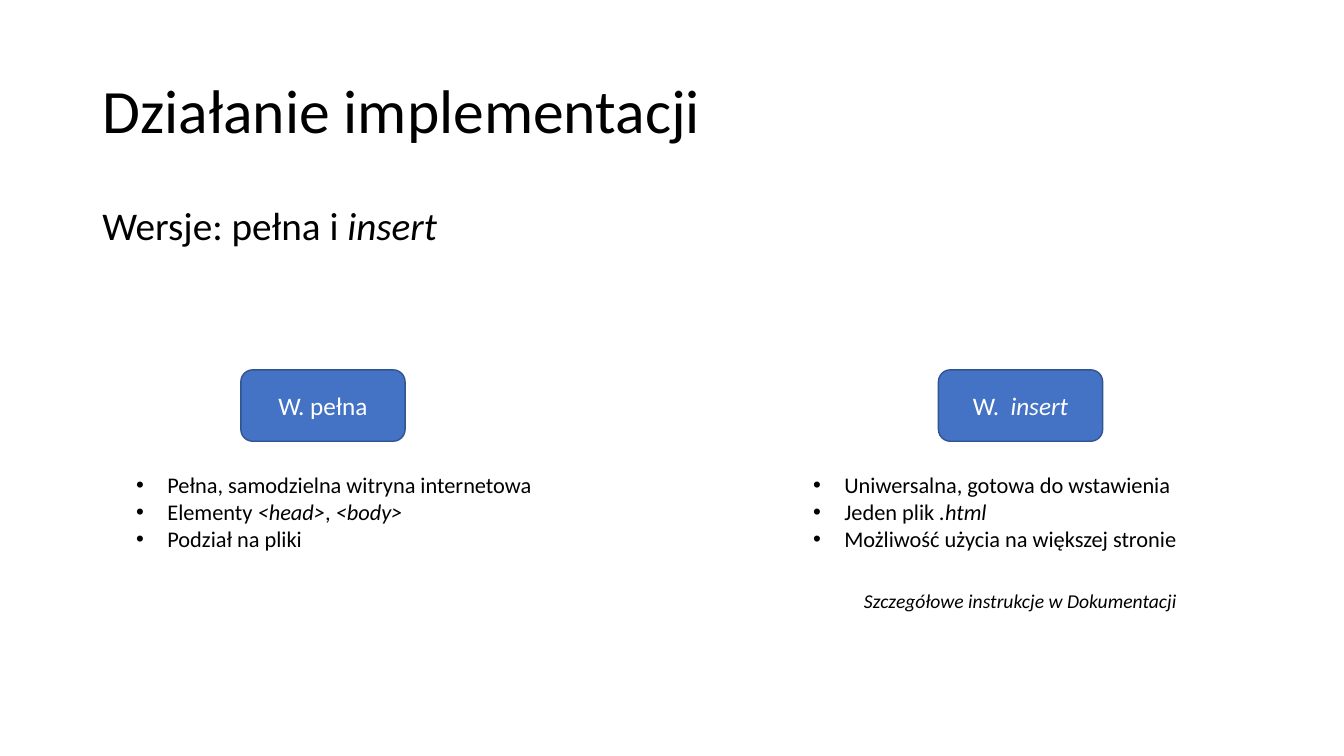
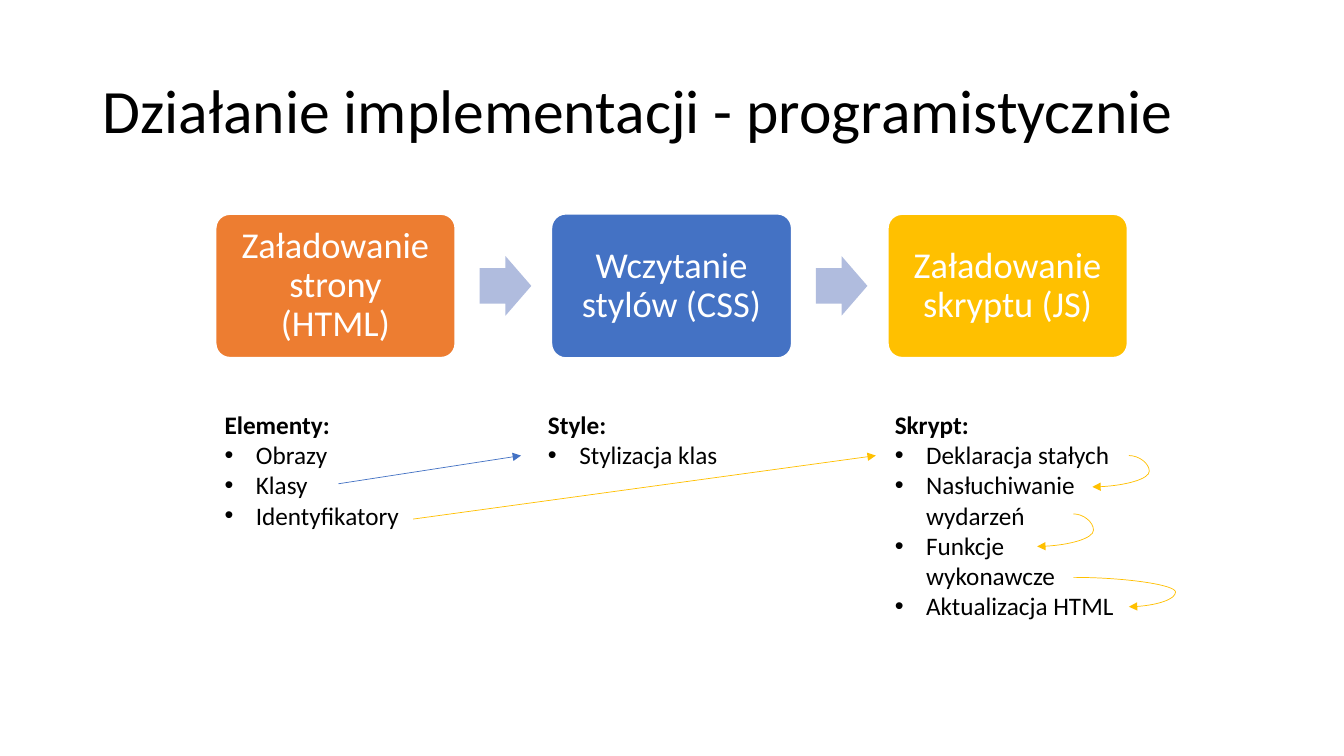
from lxml.etree import SubElement
from pptx import Presentation
from pptx.dml.color import RGBColor
from pptx.enum.shapes import MSO_CONNECTOR as Link, MSO_SHAPE as Preset
from pptx.enum.text import MSO_ANCHOR as Anchor, PP_ALIGN as Align
from pptx.oxml.ns import qn
from pptx.util import Cm, Pt

FONT = "Calibri"
COLORS = {
    "text": "000000", "white": "FFFFFF", "blue": "4472C4", "edge": "325491",
    "orange": "ED7D31", "gold": "FFC000", "arrow": "B0BCDE",
}

# Asterisks enclose italic words.
VERSIONS_TITLE = "Działanie implementacji"
VERSIONS_LEAD = "Wersje: pełna i *insert*"
VERSIONS = [
    {"name": "W. pełna", "button_left": 6.07, "list_left": 3.18, "features": [
        "Pełna, samodzielna witryna internetowa",
        "Elementy *<head>*, *<body>*",
        "Podział na pliki"]},
    {"name": "W.  *insert*", "button_left": 23.65, "list_left": 20.24, "features": [
        "Uniwersalna, gotowa do wstawienia",
        "Jeden plik *.html*",
        "Możliwość użycia na większej stronie"]},
]
VERSIONS_NOTE = "*Szczegółowe instrukcje w Dokumentacji*"

STEPS_TITLE = "Działanie implementacji - programistycznie"
STEPS = [
    {"name": "Załadowanie strony (HTML)", "color": "orange", "edge": 1.5,
     "heading": "Elementy:", "items": ["Obrazy", "Klasy", "Identyfikatory"],
     "list": (5.41, 10.19, 5, 3.33)},
    {"name": "Wczytanie stylów (CSS)", "color": "blue", "edge": 1,
     "heading": "Style:", "items": ["Stylizacja klas"],
     "list": (13.56, 10.19, 7.19, 2.57)},
    {"name": "Załadowanie skryptu (JS)", "color": "gold", "edge": 1.5,
     "heading": "Skrypt:", "items": [
         "Deklaracja stałych", "Nasłuchiwanie wydarzeń",
         "Funkcje wykonawcze", "Aktualizacja HTML"],
     "list": (22.3, 10.19, 6.17, 6.4)},
]
FLOWS = [
    ((8.53, 12.19, 13.13, 11.48), "blue", None),
    ((10.41, 13.08, 22.07, 11.48), "gold", None),
    ((28.45, 11.48, 27.53, 12.27), "gold", -0.56),
    ((27.05, 12.95, 26.14, 13.77), "gold", -0.56),
    ((27.05, 14.55, 28.45, 15.29), "gold", 1.84),
]
STEP_LEFT, STEP_TOP, STEP_WIDTH, STEP_HEIGHT, STEP_PITCH = 5.43, 5.39, 6.05, 3.63, 8.47
ARROW_WIDTH, ARROW_HEIGHT, ARROW_GAP = 1.3, 1.5, 0.61


def rgb(name):
    return RGBColor.from_string(COLORS[name])


def add_bullet(paragraph):
    properties = paragraph._p.get_or_add_pPr()
    properties.set("marL", str(Cm(0.79)))
    properties.set("indent", str(-Cm(0.79)))
    SubElement(properties, qn("a:buFont"), typeface="Arial")
    SubElement(properties, qn("a:buChar"), char="•")


def write(shape, lines, size=18, color="text", align=Align.LEFT, anchor=Anchor.TOP,
          heading=None, bullets=False, line_spacing=None, before=None, inset=None):
    frame = shape.text_frame
    frame.word_wrap = True
    frame.vertical_anchor = anchor
    if inset is not None:
        frame.margin_left = frame.margin_right = Cm(inset)
        frame.margin_top = frame.margin_bottom = Cm(inset)
    all_lines = [heading, *lines] if heading else lines
    for index, line in enumerate(all_lines):
        is_heading = bool(heading) and index == 0
        paragraph = frame.add_paragraph() if index else frame.paragraphs[0]
        paragraph.alignment = align
        if line_spacing:
            paragraph.line_spacing = line_spacing
        if before:
            paragraph.space_before = Pt(before)
        if bullets and not is_heading:
            add_bullet(paragraph)
        for part, words in enumerate(line.split("*")):
            if words:
                run = paragraph.add_run()
                run.text = words
                run.font.name = FONT
                run.font.size = Pt(size)
                run.font.bold = is_heading
                run.font.italic = part % 2 == 1
                run.font.color.rgb = rgb(color)


def add_text(slide, box, lines, **style):
    write(slide.shapes.add_textbox(*map(Cm, box)), lines, **style)


def add_block(slide, preset, box, fill, edge=None, edge_width=1, adjustments=()):
    block = slide.shapes.add_shape(preset, *map(Cm, box))
    block.shadow.inherit = False
    block.fill.solid()
    block.fill.fore_color.rgb = rgb(fill)
    if edge:
        block.line.color.rgb = rgb(edge)
        block.line.width = Pt(edge_width)
    else:
        block.line.fill.background()
    for index, value in enumerate(adjustments):
        block.adjustments[index] = value
    return block


def add_flow(slide, ends, color, bend):
    kind = Link.STRAIGHT if bend is None else Link.CURVE
    flow = slide.shapes.add_connector(kind, *map(Cm, ends))
    flow.line.color.rgb = rgb(color)
    flow.line.width = Pt(0.5)
    SubElement(flow.line._get_or_add_ln(), qn("a:tailEnd"), type="triangle")
    properties = flow._element.spPr
    SubElement(properties, qn("a:effectLst"))
    if bend is not None:
        guides = properties.find(qn("a:prstGeom")).find(qn("a:avLst"))
        SubElement(guides, qn("a:gd"), name="adj1", fmla=f"val {round(bend * 100000)}")


def add_titled_slide(deck, title):
    slide = deck.slides.add_slide(deck.slide_layouts[6])
    add_text(slide, (2.33, 1.01, 29.21, 3.68), [title], size=44,
             anchor=Anchor.MIDDLE, line_spacing=0.9)
    return slide


def build_versions(deck):
    slide = add_titled_slide(deck, VERSIONS_TITLE)
    add_text(slide, (2.33, 5.08, 16.6, 1.45), [VERSIONS_LEAD], size=28,
             line_spacing=0.9, before=10)
    for version in VERSIONS:
        button = add_block(slide, Preset.ROUNDED_RECTANGLE,
                           (version["button_left"], 9.32, 4.14, 1.8), "blue", "edge")
        write(button, [version["name"]], color="white",
              align=Align.CENTER, anchor=Anchor.MIDDLE)
        add_text(slide, (version["list_left"], 11.76, 10.97, 2.31),
                 version["features"], size=16, bullets=True)
    add_text(slide, (21.13, 14.71, 9.17, 0.86), [VERSIONS_NOTE], size=14,
             align=Align.CENTER)


def build_steps(deck):
    slide = add_titled_slide(deck, STEPS_TITLE)
    arrow_top = STEP_TOP + (STEP_HEIGHT - ARROW_HEIGHT) / 2
    for index, step in enumerate(STEPS):
        left = STEP_LEFT + index * STEP_PITCH
        card = add_block(slide, Preset.ROUNDED_RECTANGLE,
                         (left, STEP_TOP, STEP_WIDTH, STEP_HEIGHT), step["color"],
                         "white", step["edge"], [0.1])
        write(card, [step["name"]], size=26, color="white", align=Align.CENTER,
              anchor=Anchor.MIDDLE, line_spacing=0.9, inset=0.28)
        if index < len(STEPS) - 1:
            add_block(slide, Preset.RIGHT_ARROW,
                      (left + STEP_WIDTH + ARROW_GAP, arrow_top, ARROW_WIDTH, ARROW_HEIGHT),
                      "arrow", adjustments=[0.6, 0.5])
        add_text(slide, step["list"], step["items"], heading=step["heading"], bullets=True)
    for ends, color, bend in FLOWS:
        add_flow(slide, ends, color, bend)


def main():
    deck = Presentation()
    deck.slide_width, deck.slide_height = Cm(33.87), Cm(19.05)
    build_versions(deck)
    build_steps(deck)
    deck.save("out.pptx")


if __name__ == "__main__":
    main()
